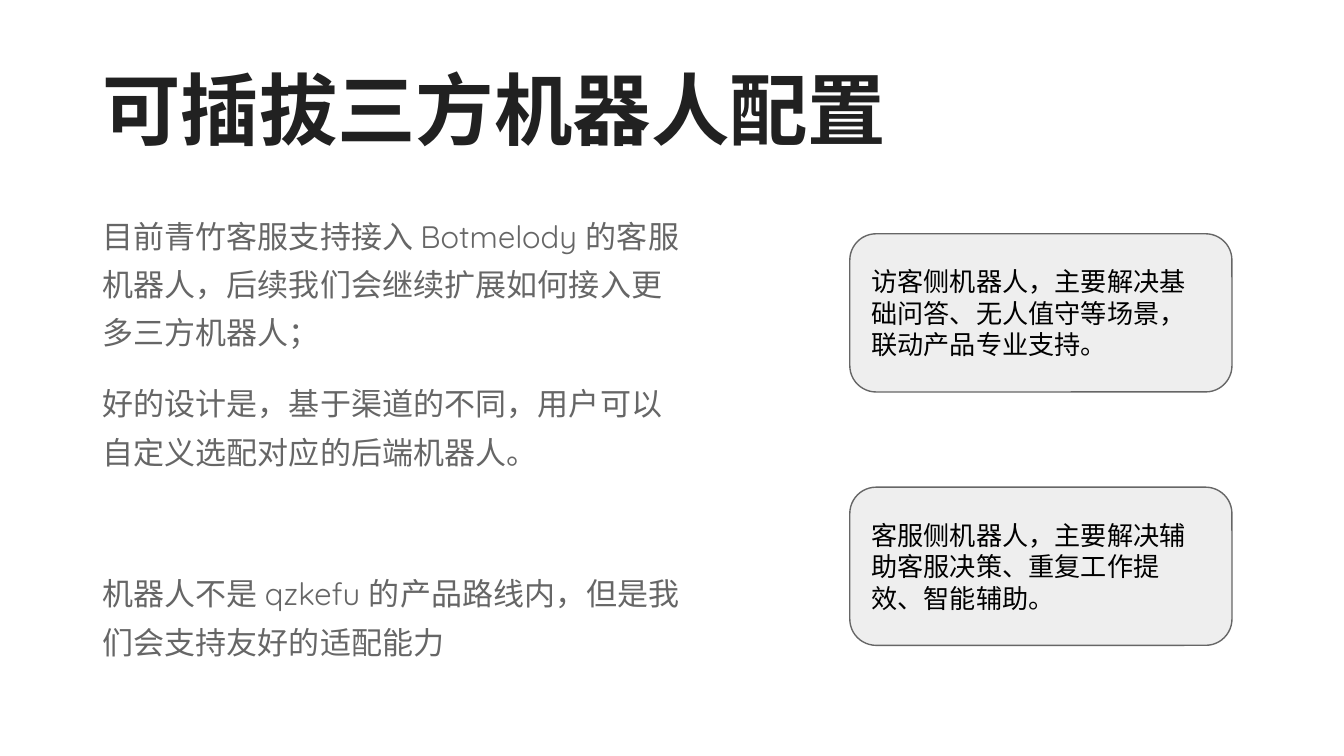
from dataclasses import dataclass

from pptx import Presentation
from pptx.dml.color import RGBColor
from pptx.enum.shapes import MSO_SHAPE
from pptx.enum.text import MSO_ANCHOR, MSO_AUTO_SIZE, PP_ALIGN
from pptx.slide import Slide
from pptx.text.text import TextFrame
from pptx.util import Emu, Pt

ROUNDED = MSO_SHAPE.ROUNDED_RECTANGLE
TOP, MIDDLE = MSO_ANCHOR.TOP, MSO_ANCHOR.MIDDLE
LEFT = PP_ALIGN.LEFT
NO_AUTOFIT = MSO_AUTO_SIZE.NONE
TITLE_ONLY = 5
EMU_PER_PX = 9525  # 96 px to the inch


@dataclass(frozen=True)
class Theme:
    heading: str = "212121"
    body: str = "666666"
    card_text: str = "000000"
    card_fill: str = "EEEEEE"
    card_line: str = "666666"
    main_font: str = "Quicksand"
    card_font: str = "Arial"
    heading_size: float = 42
    body_size: float = 16.65
    card_size: float = 14
    card_line_width: float = 0.75


@dataclass(frozen=True)
class Box:
    left: int
    top: int
    width: int
    height: int

    def emu(self) -> tuple[Emu, Emu, Emu, Emu]:
        return px(self.left), px(self.top), px(self.width), px(self.height)


@dataclass(frozen=True)
class Paragraph:
    text: str
    before: float = 0
    after: float = 0


THEME = Theme()
TITLE_BOX = Box(66, 29, 828, 105)
BODY_BOX = Box(66, 143, 427, 343)
FIRST_CARD = Box(607, 167, 273, 113)
CARD_PITCH = 181

TITLE = "可插拔三方机器人配置"
BODY = [
    Paragraph("目前青竹客服支持接入 Botmelody 的客服机器人，后续我们会继续扩展如何接入更多三方机器人；", before=8),
    Paragraph("好的设计是，基于渠道的不同，用户可以自定义选配对应的后端机器人。", before=12),
    Paragraph("机器人不是 qzkefu 的产品路线内，但是我们会支持友好的适配能力", before=50, after=12),
]
ROBOT_SIDES = [
    "访客侧机器人，主要解决基础问答、无人值守等场景，联动产品专业支持。",
    "客服侧机器人，主要解决辅助客服决策、重复工作提效、智能辅助。",
]


def px(length: int) -> Emu:
    return Emu(length * EMU_PER_PX)


def rgb(value: str) -> RGBColor:
    return RGBColor.from_string(value)


def write(frame: TextFrame, paragraphs: list[Paragraph], *, font: str, size: float,
          color: str, bold: bool = False, spacing: float = 1.0,
          anchor: MSO_ANCHOR = MIDDLE, inset_x: int = 7, inset_y: int = 4) -> None:
    """Fill a frame, keeping punctuation inside its right margin."""
    frame.word_wrap = True
    frame.auto_size = NO_AUTOFIT
    frame.vertical_anchor = anchor
    frame.margin_left = frame.margin_right = px(inset_x)
    frame.margin_top = frame.margin_bottom = px(inset_y)
    for index, content in enumerate(paragraphs):
        line = frame.add_paragraph() if index else frame.paragraphs[0]
        line.alignment = LEFT
        line.line_spacing = spacing
        line.space_before = Pt(content.before)
        line.space_after = Pt(content.after)
        line._p.get_or_add_pPr().set("hangingPunct", "0")
        run = line.add_run()
        run.text = content.text
        run.font.name = font
        run.font.size = Pt(size)
        run.font.bold = bold
        run.font.color.rgb = rgb(color)


def add_title(slide: Slide) -> None:
    title = slide.shapes.title
    title.left, title.top, title.width, title.height = TITLE_BOX.emu()
    write(title.text_frame, [Paragraph(TITLE)], font=THEME.main_font,
          size=THEME.heading_size, color=THEME.heading, bold=True, spacing=0.9)


def add_body(slide: Slide) -> None:
    body = slide.shapes.add_textbox(*BODY_BOX.emu())
    write(body.text_frame, BODY, font=THEME.main_font, size=THEME.body_size,
          color=THEME.body, spacing=1.3, anchor=TOP)


def add_card(slide: Slide, box: Box, text: str) -> None:
    card = slide.shapes.add_shape(ROUNDED, *box.emu())
    card.shadow.inherit = False
    card.fill.solid()
    card.fill.fore_color.rgb = rgb(THEME.card_fill)
    card.line.color.rgb = rgb(THEME.card_line)
    card.line.width = Pt(THEME.card_line_width)
    write(card.text_frame, [Paragraph(text)], font=THEME.card_font,
          size=THEME.card_size, color=THEME.card_text, inset_x=10, inset_y=10)


def main() -> None:
    deck = Presentation()
    deck.slide_width, deck.slide_height = px(960), px(540)
    slide = deck.slides.add_slide(deck.slide_layouts[TITLE_ONLY])
    add_title(slide)
    add_body(slide)
    for index, text in enumerate(ROBOT_SIDES):
        top = FIRST_CARD.top + index * CARD_PITCH
        add_card(slide, Box(FIRST_CARD.left, top, FIRST_CARD.width, FIRST_CARD.height), text)
    deck.save("out.pptx")


if __name__ == "__main__":
    main()
